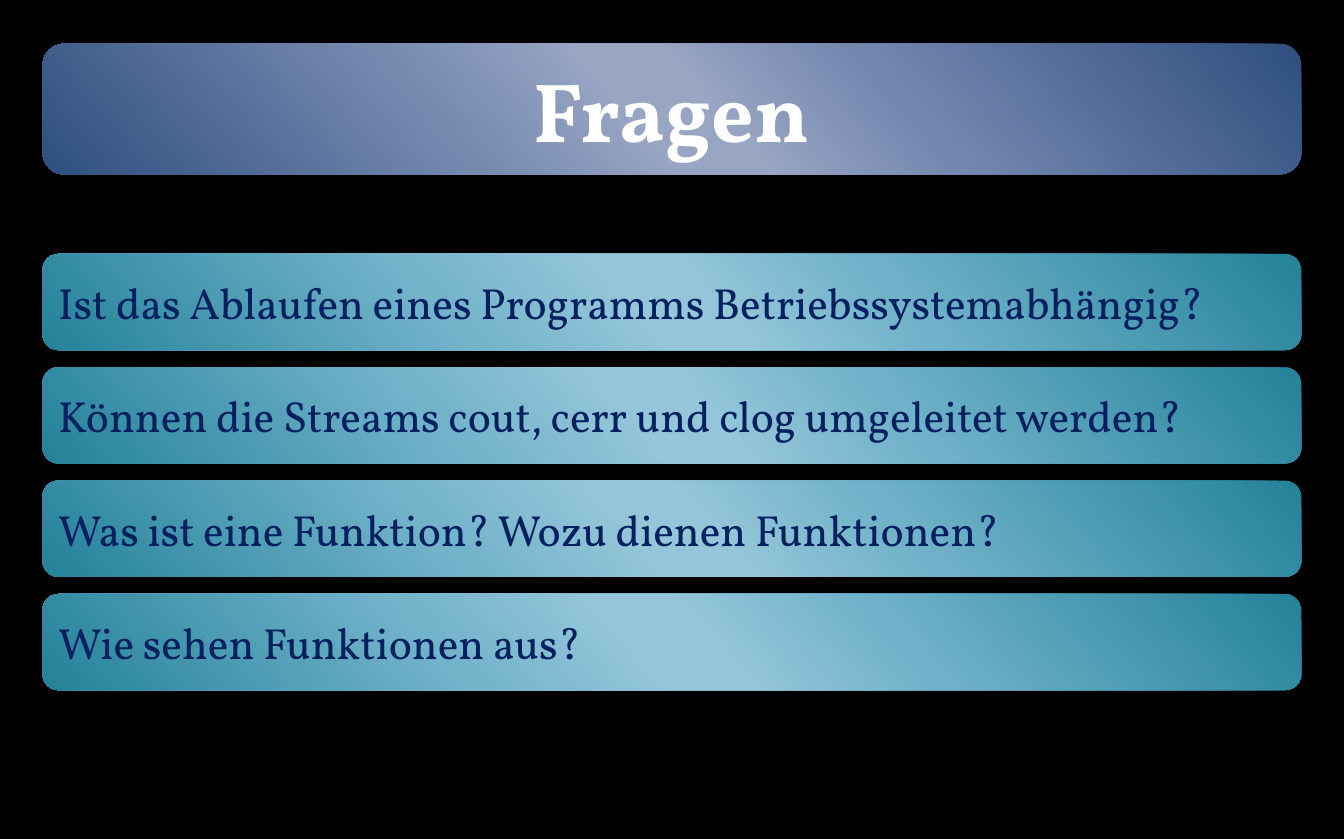
from dataclasses import dataclass

from lxml.etree import SubElement
from pptx import Presentation
from pptx.dml.color import RGBColor
from pptx.enum.shapes import MSO_SHAPE
from pptx.enum.text import MSO_ANCHOR, PP_ALIGN
from pptx.oxml.ns import qn
from pptx.util import Inches, Pt


@dataclass(frozen=True)
class Theme:
    font: str = "Vollkorn"
    background: str = "000000"
    title_color: str = "FFFFFF"
    question_color: str = "002060"
    title_size: int = 54
    question_size: int = 28
    gradient_positions: tuple = (0, 33, 47, 53, 68, 100)
    title_gradient: tuple = ("2E4F7E", "7487AF", "98A5C3", "98A5C3", "7589AF", "2E4F7E")
    question_gradient: tuple = ("248299", "70B2C9", "94C5D8", "94C5D8", "72B3CA", "248299")
    gradient_angle: int = 221  # counter-clockwise


THEME = Theme()
BAR_LEFT, BAR_WIDTH = 0.38, 11.25
TITLE_TOP, TITLE_HEIGHT = 0.39, 1.17
FIRST_QUESTION_TOP, LAST_QUESTION_TOP = 2.27, 5.31
QUESTION_HEIGHT = 0.86

QUESTIONS = (
    "Ist das Ablaufen eines Programms Betriebssystemabhängig?",
    "Können die Streams cout, cerr und clog umgeleitet werden?",
    "Was ist eine Funktion? Wozu dienen Funktionen?",
    "Wie sehen Funktionen aus?",
)


def fill_gradient(shape, colors):
    shape.fill.gradient()
    shape.fill.gradient_angle = THEME.gradient_angle
    stops = shape.fill.gradient_stops
    stop_list = shape.element.spPr.find(qn("a:gradFill")).find(qn("a:gsLst"))
    # The public API offers only two stops, so the list is rebuilt
    for stop in list(stop_list):
        stop_list.remove(stop)
    for position, color in zip(THEME.gradient_positions, colors):
        stop = SubElement(stop_list, qn("a:gs"), pos=str(position * 1000))
        SubElement(stop, qn("a:srgbClr"), val=color)


def add_bar(slide, top, height, colors):
    shape = slide.shapes.add_shape(
        MSO_SHAPE.ROUNDED_RECTANGLE,
        Inches(BAR_LEFT), Inches(top), Inches(BAR_WIDTH), Inches(height),
    )
    shape.shadow.inherit = False
    shape.line.fill.background()
    fill_gradient(shape, colors)
    return shape


def add_text(shape, text, size, color, alignment, bold=False):
    frame = shape.text_frame
    frame.word_wrap = True
    frame.vertical_anchor = MSO_ANCHOR.MIDDLE
    paragraph = frame.paragraphs[0]
    paragraph.alignment = alignment
    run = paragraph.add_run()
    run.text = text
    run.font.name = THEME.font
    run.font.size = Pt(size)
    run.font.bold = bold
    run.font.color.rgb = RGBColor.from_string(color)


def main():
    presentation = Presentation()
    presentation.slide_width = Inches(12.01)
    presentation.slide_height = Inches(7.5)
    slide = presentation.slides.add_slide(presentation.slide_layouts[6])
    slide.background.fill.solid()
    slide.background.fill.fore_color.rgb = RGBColor.from_string(THEME.background)

    # Title
    title = add_bar(slide, TITLE_TOP, TITLE_HEIGHT, THEME.title_gradient)
    add_text(title, "Fragen", THEME.title_size, THEME.title_color, PP_ALIGN.CENTER, bold=True)

    # Evenly spaced questions
    pitch = (LAST_QUESTION_TOP - FIRST_QUESTION_TOP) / (len(QUESTIONS) - 1)
    for index, question in enumerate(QUESTIONS):
        top = FIRST_QUESTION_TOP + index * pitch
        bar = add_bar(slide, top, QUESTION_HEIGHT, THEME.question_gradient)
        add_text(bar, question, THEME.question_size, THEME.question_color, PP_ALIGN.LEFT)

    presentation.save("out.pptx")


if __name__ == "__main__":
    main()
